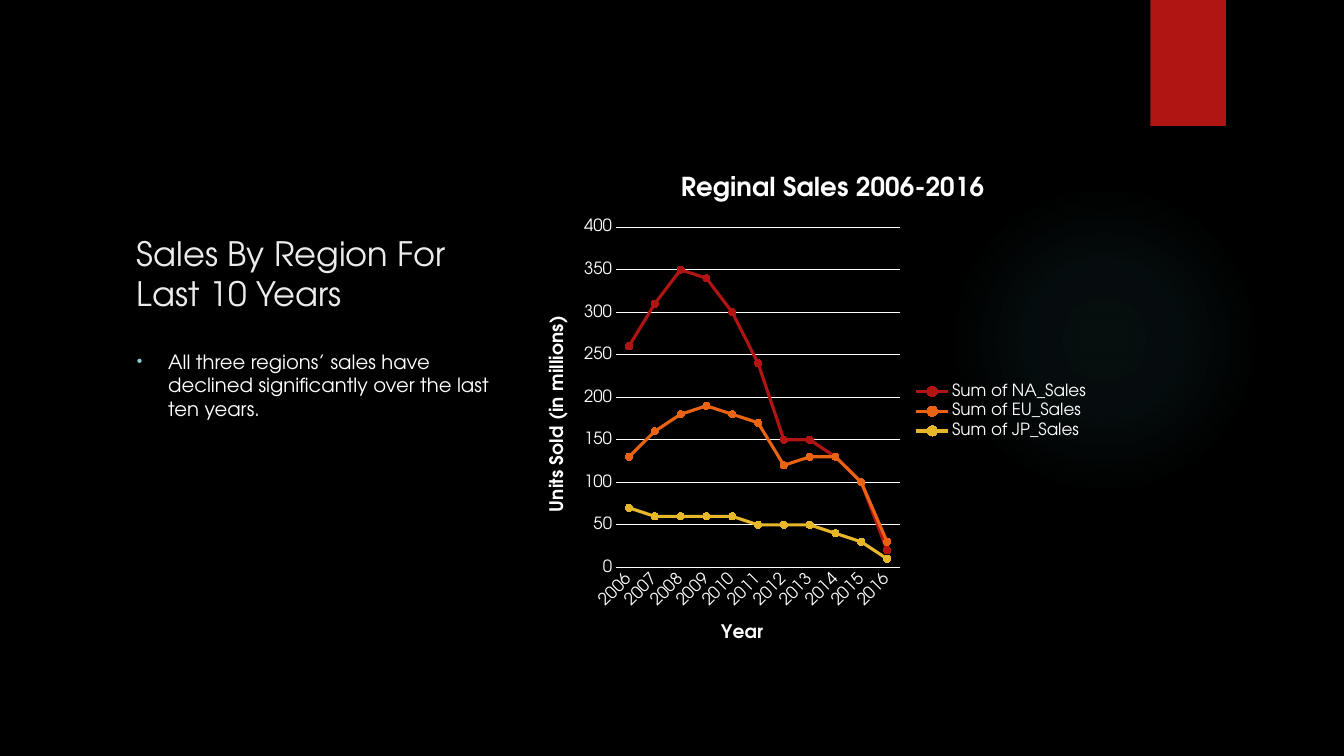
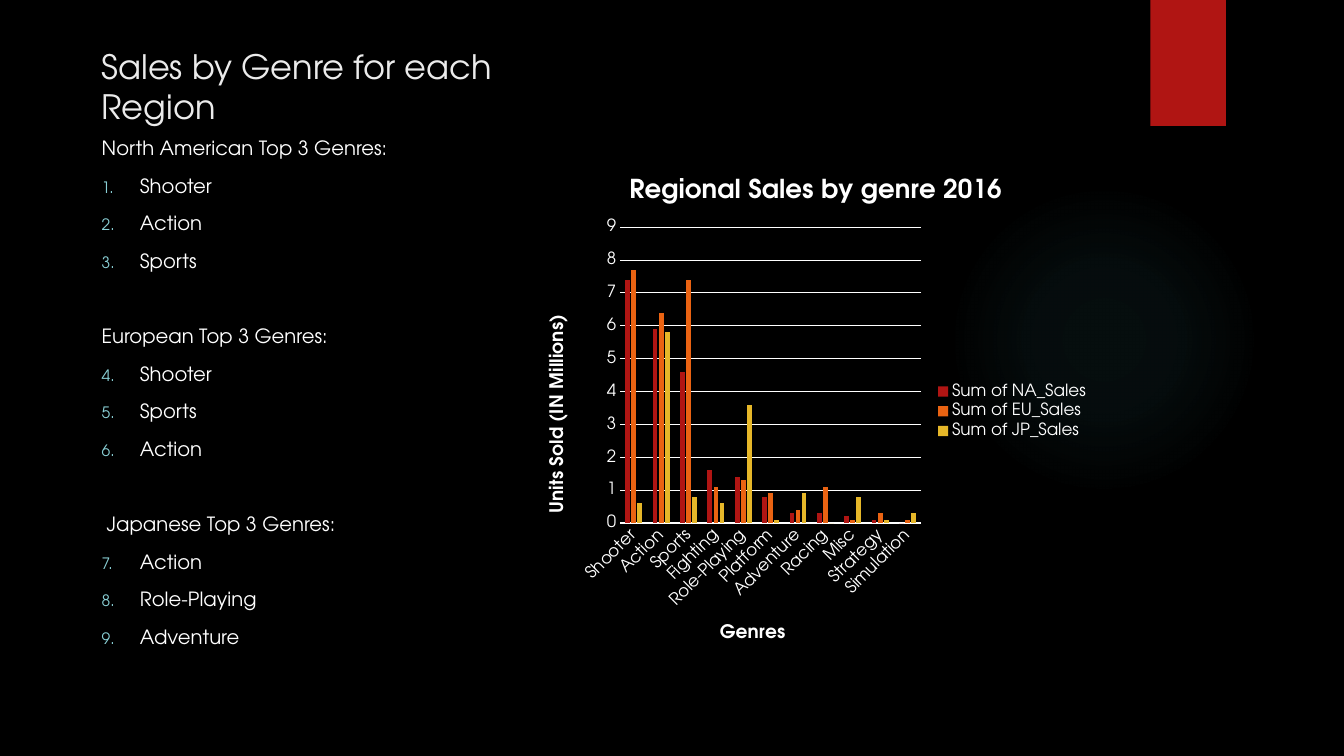
import pptx
import pptx.chart.data
import pptx.dml.color
import pptx.enum.chart
import pptx.enum.shapes
import pptx.enum.text
import pptx.oxml
import pptx.oxml.ns
import pptx.util

Inches = pptx.util.Inches
Pt = pptx.util.Pt
RGBColor = pptx.dml.color.RGBColor
ChartType = pptx.enum.chart.XL_CHART_TYPE

FONT = "TeX Gyre Adventor"
BLACK = RGBColor(0x00, 0x00, 0x00)
WHITE = RGBColor(0xFF, 0xFF, 0xFF)
TITLE_COLOR = RGBColor(0xEB, 0xEB, 0xEB)
RED = RGBColor(0xB0, 0x15, 0x13)
ORANGE = RGBColor(0xEA, 0x63, 0x12)
YELLOW = RGBColor(0xE6, 0xB7, 0x29)
GLOW = RGBColor(0x50, 0xB9, 0xC1)
BULLET_COLOR = RGBColor(0x8A, 0xD0, 0xD6)

SERIES_NAMES = ["Sum of NA_Sales", "Sum of EU_Sales", "Sum of JP_Sales"]
SERIES_COLORS = [RED, ORANGE, YELLOW]
GLOW_STOPS = [(0, 7), (36, 6), (69, 0)]  # position %, opacity %
CHART_BOX = (5.23, 1.58, 5.68, 5)

YEARLY_CHART = {
    "type": ChartType.LINE_MARKERS,
    "title": "Reginal Sales 2006-2016",
    "category_title": "Year",
    "value_title": "Units Sold (in millions)",
    "categories": [str(year) for year in range(2006, 2017)],
    "values": [
        [260, 310, 350, 340, 300, 240, 150, 150, 130, 100, 20],
        [130, 160, 180, 190, 180, 170, 120, 130, 130, 100, 30],
        [70, 60, 60, 60, 60, 50, 50, 50, 40, 30, 10],
    ],
    "maximum": 400,
    "step": 50,
    "title_at": (0.26, 0.02),
    "plot_area": (0.155, 0.135, 0.496, 0.675),
}
GENRE_CHART = {
    "type": ChartType.COLUMN_CLUSTERED,
    "title": "Regional Sales by genre 2016",
    "category_title": "Genres",
    "value_title": "Units Sold (IN Millions)",
    "categories": ["Shooter", "Action", "Sports", "Fighting", "Role-Playing", "Platform",
                   "Adventure", "Racing", "Misc", "Strategy", "Simulation"],
    "values": [
        [7.4, 5.9, 4.6, 1.6, 1.4, 0.8, 0.3, 0.3, 0.2, 0.1, 0],
        [7.7, 6.4, 7.4, 1.1, 1.3, 0.9, 0.4, 1.1, 0.1, 0.3, 0.1],
        [0.6, 5.8, 0.8, 0.6, 3.6, 0.1, 0.9, 0, 0.8, 0.1, 0.3],
    ],
    "maximum": 9,
    "step": 1,
    "title_at": (0.17, 0.025),
    "plot_area": (0.162, 0.135, 0.526, 0.587),
}
REGION_NOTE = "All three regions\u2019 sales have declined significantly over the last ten years."
# Heading, its left indent in inches, ranked genres
TOP_GENRES = [
    ("North American Top 3 Genres:", 0, ["Shooter", "Action", "Sports"]),
    ("European Top 3 Genres:", 0, ["Shooter", "Sports", "Action"]),
    ("Japanese Top 3 Genres:", 0.05, ["Action", "Role-Playing", "Adventure"]),
]
PARAGRAPH_GAP = 10
GROUP_GAP = 37


def add_xml(parent, tag, **attributes):
    """Append a child element with the given attributes."""
    child = pptx.oxml.parse_xml(f"<{tag} {pptx.oxml.ns.nsdecls(tag.split(':')[0])}/>")
    for name, value in attributes.items():
        child.set(name, str(value))
    parent.append(child)
    return child


def style_font(font, size, color=WHITE, bold=False):
    """Set the shared typeface with a size and colour."""
    font.name, font.size, font.bold = FONT, Pt(size), bold
    font.color.rgb = color


def add_plain_shape(slide, kind, box, color):
    """Add a preset shape with a solid fill and neither line nor shadow."""
    shape = slide.shapes.add_shape(kind, *map(Inches, box))
    shape.shadow.inherit = False
    shape.fill.solid()
    shape.fill.fore_color.rgb = color
    shape.line.fill.background()
    return shape


def add_glow(slide):
    """Add the faint round glow on the right."""
    shape = add_plain_shape(slide, pptx.enum.shapes.MSO_SHAPE.OVAL, (9.41, 1.83, 3.08, 3.08), GLOW)
    properties = shape._element.spPr
    solid = properties.find(pptx.oxml.ns.qn("a:solidFill"))
    gradient = add_xml(properties, "a:gradFill", rotWithShape=1)
    properties.replace(solid, gradient)
    stops = add_xml(gradient, "a:gsLst")
    for position, opacity in GLOW_STOPS:
        stop = add_xml(stops, "a:gs", pos=position * 1000)
        color = add_xml(stop, "a:srgbClr", val=GLOW)
        add_xml(color, "a:alpha", val=opacity * 1000)
    circle = add_xml(gradient, "a:path", path="circle")
    add_xml(circle, "a:fillToRect", l=50000, t=50000, r=50000, b=50000)


def add_text_frame(slide, box):
    """Add a wrapping text box and return its text frame."""
    frame = slide.shapes.add_textbox(*map(Inches, box)).text_frame
    frame.word_wrap = True
    return frame


def add_paragraph(frame, text, size=14, color=WHITE, gap=PARAGRAPH_GAP):
    """Write one paragraph, using the empty first one if it is free."""
    first = frame.paragraphs[0]
    paragraph = frame.add_paragraph() if first.runs else first
    paragraph.space_before = Pt(gap)
    run = paragraph.add_run()
    run.text = text
    style_font(run.font, size, color)
    return paragraph


def add_bullet(paragraph, indent, tag, **attributes):
    """Give a paragraph a hanging bullet or number."""
    properties = paragraph._p.get_or_add_pPr()
    properties.set("marL", str(Inches(indent)))
    properties.set("indent", str(-Inches(indent)))
    add_xml(add_xml(properties, "a:buClr"), "a:srgbClr", val=BULLET_COLOR)
    add_xml(properties, "a:buSzPct", val=80000)
    if tag == "a:buChar":
        add_xml(properties, "a:buFont", typeface="Arial")
    add_xml(properties, tag, **attributes)


def add_base_slide(presentation, title, title_box):
    """Add a slide with the shared background, decoration and title."""
    slide = presentation.slides.add_slide(presentation.slide_layouts[6])
    slide.background.fill.solid()
    slide.background.fill.fore_color.rgb = BLACK
    add_glow(slide)
    add_plain_shape(slide, pptx.enum.shapes.MSO_SHAPE.RECTANGLE, (11.41, 0, 0.75, 1.25), RED)
    frame = add_text_frame(slide, title_box)
    frame.vertical_anchor = pptx.enum.text.MSO_ANCHOR.BOTTOM
    add_paragraph(frame, title, 24, TITLE_COLOR, 0)
    return slide


def set_layout(parent, values, inner=False):
    """Place a chart part by fractions of the chart: x, y and perhaps w, h."""
    old = parent.find(pptx.oxml.ns.qn("c:layout"))
    if old is not None:
        parent.remove(old)
    layout = add_xml(parent, "c:layout")
    parent.insert(1 if parent.tag == pptx.oxml.ns.qn("c:title") else 0, layout)
    manual = add_xml(layout, "c:manualLayout")
    if inner:
        add_xml(manual, "c:layoutTarget", val="inner")
    for name in ("xMode", "yMode"):
        add_xml(manual, f"c:{name}", val="edge")
    for name, value in zip("xywh", values):
        add_xml(manual, f"c:{name}", val=value)


def write_chart_title(owner, text, size):
    """Write a bold title on a chart or an axis."""
    owner.has_title = True
    title = owner.chart_title if hasattr(owner, "chart_title") else owner.axis_title
    run = title.text_frame.paragraphs[0].add_run()
    run.text = text
    style_font(run.font, size, bold=True)
    return title


def style_line(line, color, width):
    """Set a solid line colour and width."""
    line.color.rgb = color
    line.width = Pt(width)


def style_axes(chart, content):
    """Style both axes, their titles and the gridlines."""
    for axis, name in ((chart.category_axis, "category_title"), (chart.value_axis, "value_title")):
        axis.major_tick_mark = axis.minor_tick_mark = pptx.enum.chart.XL_TICK_MARK.NONE
        style_font(axis.tick_labels.font, 12)
        write_chart_title(axis, content[name], 13.3)
    style_line(chart.category_axis.format.line, WHITE, 0.75)
    values = chart.value_axis
    values.minimum_scale, values.maximum_scale = 0, content["maximum"]
    values.major_unit = content["step"]
    values.format.line.fill.background()
    style_line(values.major_gridlines.format.line, WHITE, 0.75)


def style_series(series, color, is_line):
    """Colour one line or one set of columns."""
    if not is_line:
        series.format.fill.solid()
        series.format.fill.fore_color.rgb = color
        return
    series.smooth = False
    style_line(series.format.line, color, 2.25)
    marker = series.marker
    marker.style, marker.size = pptx.enum.chart.XL_MARKER_STYLE.CIRCLE, 5
    marker.format.fill.solid()
    marker.format.fill.fore_color.rgb = color
    marker.format.line.color.rgb = color


def add_sales_chart(slide, content):
    """Add a chart of sales with one series per region."""
    data = pptx.chart.data.CategoryChartData()
    data.categories = content["categories"]
    for name, values in zip(SERIES_NAMES, content["values"]):
        data.add_series(name, values)
    chart = slide.shapes.add_chart(content["type"], *map(Inches, CHART_BOX), data).chart
    style_font(chart.font, 10)
    title = write_chart_title(chart, content["title"], 18.6)
    set_layout(title._element, content["title_at"])
    set_layout(chart._chartSpace.chart.plotArea, content["plot_area"], inner=True)
    chart.has_legend = True
    chart.legend.position = pptx.enum.chart.XL_LEGEND_POSITION.RIGHT
    chart.legend.include_in_layout = False
    style_font(chart.legend.font, 12)
    style_axes(chart, content)
    plot = chart.plots[0]
    plot.vary_by_categories = False
    is_line = content["type"] == ChartType.LINE_MARKERS
    if not is_line:
        plot.gap_width, plot.overlap = 219, -27
    for series, color in zip(plot.series, SERIES_COLORS):
        style_series(series, color, is_line)


def build_region_slide(presentation):
    """Build the slide on yearly sales by region."""
    slide = add_base_slide(presentation, "Sales By Region For Last 10 Years", (1.26, 1.58, 3.72, 1.58))
    add_sales_chart(slide, YEARLY_CHART)
    frame = add_text_frame(slide, (1.26, 3.42, 3.72, 3.17))
    add_bullet(add_paragraph(frame, REGION_NOTE), 0.31, "a:buChar", char="\u2022")


def build_genre_slide(presentation):
    """Build the slide on top genres, numbered on through the regions."""
    slide = add_base_slide(presentation, "Sales by Genre for each Region", (0.91, 0.13, 4.3, 1.17))
    add_sales_chart(slide, GENRE_CHART)
    frame = add_text_frame(slide, (0.91, 1.3, 4.3, 5.43))
    number = 1
    for heading, indent, genres in TOP_GENRES:
        gap = PARAGRAPH_GAP if number == 1 else GROUP_GAP
        paragraph = add_paragraph(frame, heading, gap=gap)
        paragraph._p.get_or_add_pPr().set("marL", str(Inches(indent)))
        for genre in genres:
            add_bullet(add_paragraph(frame, genre), 0.38, "a:buAutoNum",
                       type="arabicPeriod", startAt=number)
            number += 1


presentation = pptx.Presentation()
presentation.slide_width, presentation.slide_height = Inches(13.33), Inches(7.5)
build_region_slide(presentation)
build_genre_slide(presentation)
presentation.save("out.pptx")
